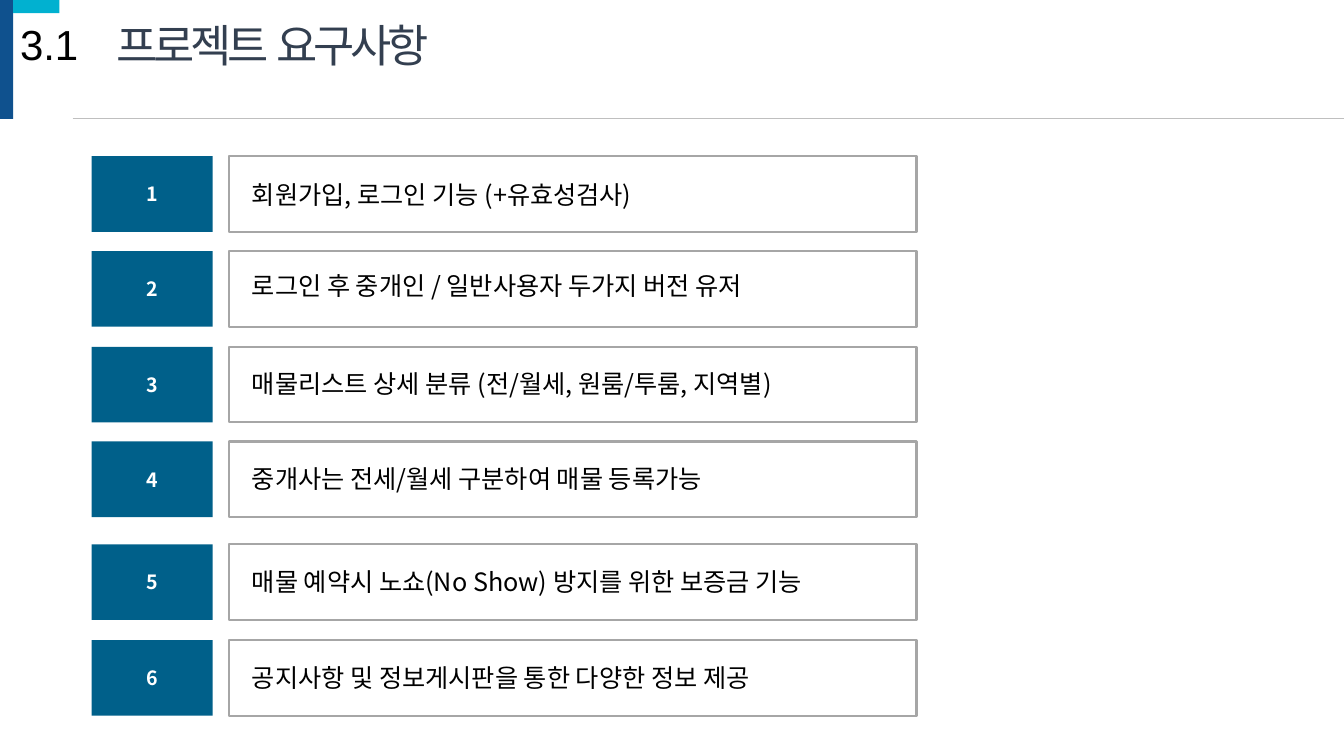
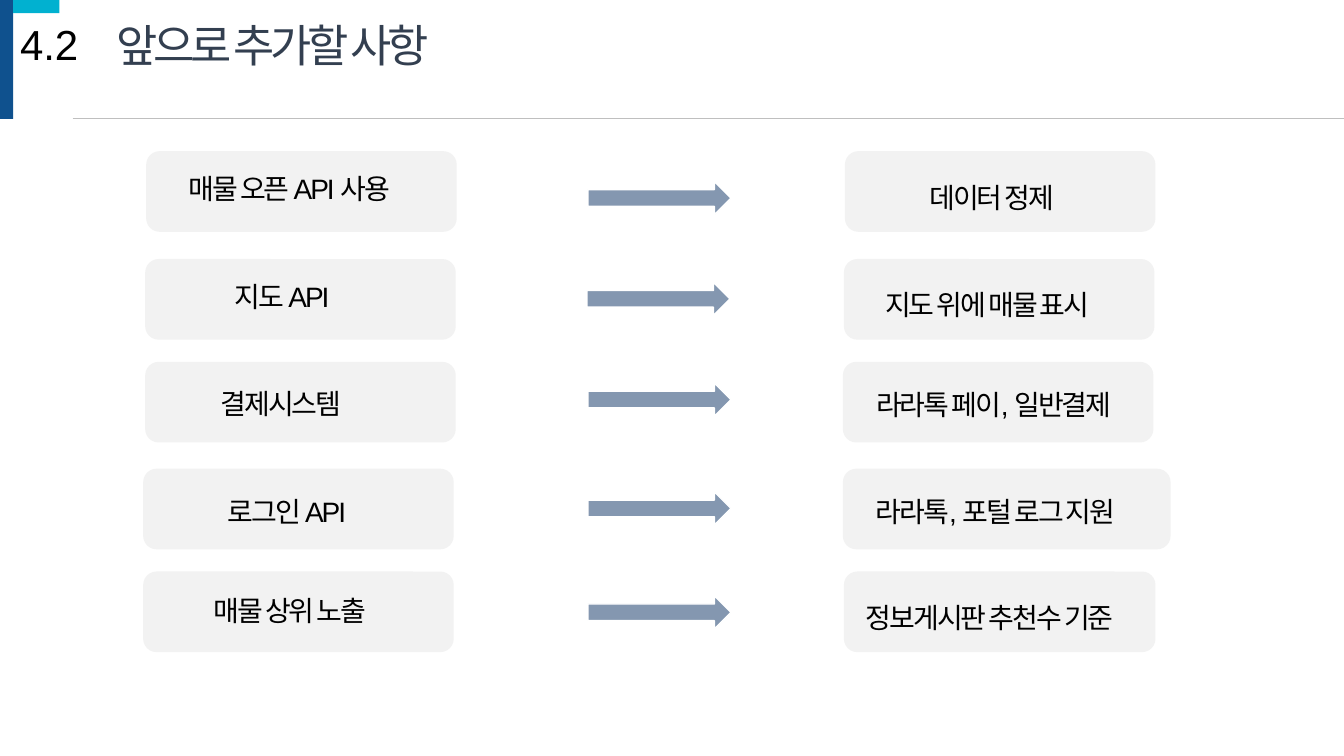
from dataclasses import dataclass

from lxml.etree import SubElement
from pptx import Presentation
from pptx.dml.color import RGBColor
from pptx.enum.shapes import MSO_CONNECTOR, MSO_SHAPE
from pptx.enum.text import MSO_ANCHOR, MSO_AUTO_SIZE, PP_ALIGN
from pptx.oxml.ns import qn
from pptx.util import Inches, Pt


@dataclass(frozen=True)
class Theme:
    navy: str = "0F518E"
    cyan: str = "01B1D0"
    teal: str = "00608A"
    title: str = "333F50"
    text: str = "000000"
    white: str = "FFFFFF"
    rule: str = "BFBFBF"
    frame: str = "A6A6A6"
    card: str = "F2F2F2"
    arrow: str = "8497B0"
    latin_font: str = "Arial"
    korean_font: str = "Noto Sans CJK KR"
    title_size: int = 32
    section_size: int = 30
    card_size: int = 20
    item_size: int = 18
    badge_size: int = 14


class Deck:
    def __init__(self, theme):
        self.theme = theme
        self.presentation = Presentation()
        self.presentation.slide_width = Inches(13.33)
        self.presentation.slide_height = Inches(7.5)
        self.slide = None

    def shape(self, kind, left, top, width, height, fill=None, line=None, line_width=1):
        shape = self.slide.shapes.add_shape(
            kind, Inches(left), Inches(top), Inches(width), Inches(height))
        shape.shadow.inherit = False
        if fill:
            shape.fill.solid()
            shape.fill.fore_color.rgb = RGBColor.from_string(fill)
        else:
            shape.fill.background()
        if line:
            shape.line.color.rgb = RGBColor.from_string(line)
            shape.line.width = Pt(line_width)
        else:
            shape.line.fill.background()
        return shape

    def fill_text(self, frame, text, size, font, color, spacing=0):
        """Fill the first paragraph; spacing is between letters, in points."""
        paragraph = frame.paragraphs[0]
        run = paragraph.add_run()
        run.text = text
        if spacing:
            run._r.get_or_add_rPr().set("spc", str(int(spacing * 100)))
        paragraph.font.size = Pt(size)
        paragraph.font.name = font
        paragraph.font.color.rgb = RGBColor.from_string(color)
        return paragraph

    def text(self, left, top, width, height, text, size, font, color=None, spacing=0):
        box = self.slide.shapes.add_textbox(
            Inches(left), Inches(top), Inches(width), Inches(height))
        frame = box.text_frame
        frame.word_wrap = True
        frame.auto_size = MSO_AUTO_SIZE.SHAPE_TO_FIT_TEXT
        self.fill_text(frame, text, size, font, color or self.theme.text, spacing)

    def rule(self, left, right, top):
        line = self.slide.shapes.add_connector(
            MSO_CONNECTOR.STRAIGHT, Inches(left), Inches(top), Inches(right), Inches(top))
        line.line.color.rgb = RGBColor.from_string(self.theme.rule)
        line.line.width = Pt(0.5)
        SubElement(line._element.spPr, qn("a:effectLst"))

    def start_slide(self, section, title):
        """Add a slide with the shared corner bands, rule and heading."""
        theme = self.theme
        self.slide = self.presentation.slides.add_slide(self.presentation.slide_layouts[6])
        self.shape(MSO_SHAPE.RECTANGLE, 0, 0, 0.13, 1.18, theme.navy)
        self.shape(MSO_SHAPE.RECTANGLE, 0.13, 0, 0.46, 0.13, theme.cyan)
        self.rule(0.72, 13.33, 1.17)
        self.text(0.1, 0.13, 0.81, 0.61, section, theme.section_size, theme.latin_font)
        self.text(1.06, 0.13, 3.8, 0.64, title, theme.title_size, theme.latin_font,
                  theme.title, spacing=-3)

    def requirement(self, number, top, text_top, text):
        theme = self.theme
        badge = self.shape(MSO_SHAPE.RECTANGLE, 0.91, top, 1.2, 0.75, theme.teal)
        badge.text_frame.vertical_anchor = MSO_ANCHOR.MIDDLE
        paragraph = self.fill_text(badge.text_frame, str(number), theme.badge_size,
                                   theme.korean_font, theme.white)
        paragraph.alignment = PP_ALIGN.CENTER
        paragraph.font.bold = True
        self.shape(MSO_SHAPE.RECTANGLE, 2.27, top, 6.82, 0.75,
                   line=theme.frame, line_width=1.5)
        self.text(2.4, text_top, 6.37, 0.4, text, theme.item_size, theme.korean_font)

    def card(self, left, top, width, text_left, text_top, text_width, text):
        theme = self.theme
        self.shape(MSO_SHAPE.ROUNDED_RECTANGLE, left, top, width, 0.8, theme.card)
        self.text(text_left, text_top, text_width, 0.44, text, theme.card_size,
                  theme.latin_font, spacing=-1.5)

    def arrow(self, left, top):
        self.shape(MSO_SHAPE.RIGHT_ARROW, left, top, 1.42, 0.33,
                   self.theme.arrow, self.theme.white)


# Top of the row, top of its text, text
REQUIREMENTS = [
    (1.55, 1.73, "회원가입, 로그인 기능 (+유효성검사)"),
    (2.49, 2.63, "로그인 후 중개인 / 일반사용자 두가지 버전 유저"),
    (3.44, 3.61, "매물리스트 상세 분류 (전/월세, 원룸/투룸, 지역별)"),
    (4.38, 4.55, "중개사는 전세/월세 구분하여 매물 등록가능"),
    (5.4, 5.57, "매물 예약시 노쇼(No Show) 방지를 위한 보증금 기능"),
    (6.35, 6.52, "공지사항 및 정보게시판을 통한 다양한 정보 제공"),
]

# Row top, then source card, arrow and result card.
# Card: left, width, text left, text top, text width, text. Arrow: left, top.
PLANS = [
    (1.5, (1.45, 3.08, 1.77, 1.65, 2.41, "매물 오픈 API 사용"), (5.83, 1.8),
     (8.38, 3.08, 9.12, 1.74, 1.56, "데이터 정제")),
    (2.57, (1.44, 3.08, 2.23, 2.72, 1.73, "지도 API"), (5.82, 2.8),
     (8.37, 3.08, 8.68, 2.8, 2.45, "지도 위에 매물 표시")),
    (3.59, (1.44, 3.08, 2.09, 3.79, 1.5, "결제시스템"), (5.83, 3.8),
     (8.36, 3.08, 8.59, 3.8, 2.71, "라라톡 페이, 일반결제")),
    (4.65, (1.42, 3.08, 2.16, 4.86, 1.84, "로그인 API"), (5.83, 4.88),
     (8.36, 3.25, 8.59, 4.86, 2.87, "라라톡, 포털 로그 지원")),
    (5.67, (1.42, 3.08, 2.02, 5.84, 2.09, "매물 상위 노출"), (5.83, 5.91),
     (8.37, 3.09, 8.49, 5.91, 2.91, "정보게시판 추천수 기준")),
]


def main():
    deck = Deck(Theme())

    deck.start_slide("3.1", "프로젝트  요구사항")
    for number, (top, text_top, text) in enumerate(REQUIREMENTS, 1):
        deck.requirement(number, top, text_top, text)

    deck.start_slide("4.2", "앞으로 추가할 사항")
    for top, source, arrow, result in PLANS:
        for left, *rest in (source, result):
            deck.card(left, top, *rest)
        deck.arrow(*arrow)

    deck.presentation.save("out.pptx")


if __name__ == "__main__":
    main()
